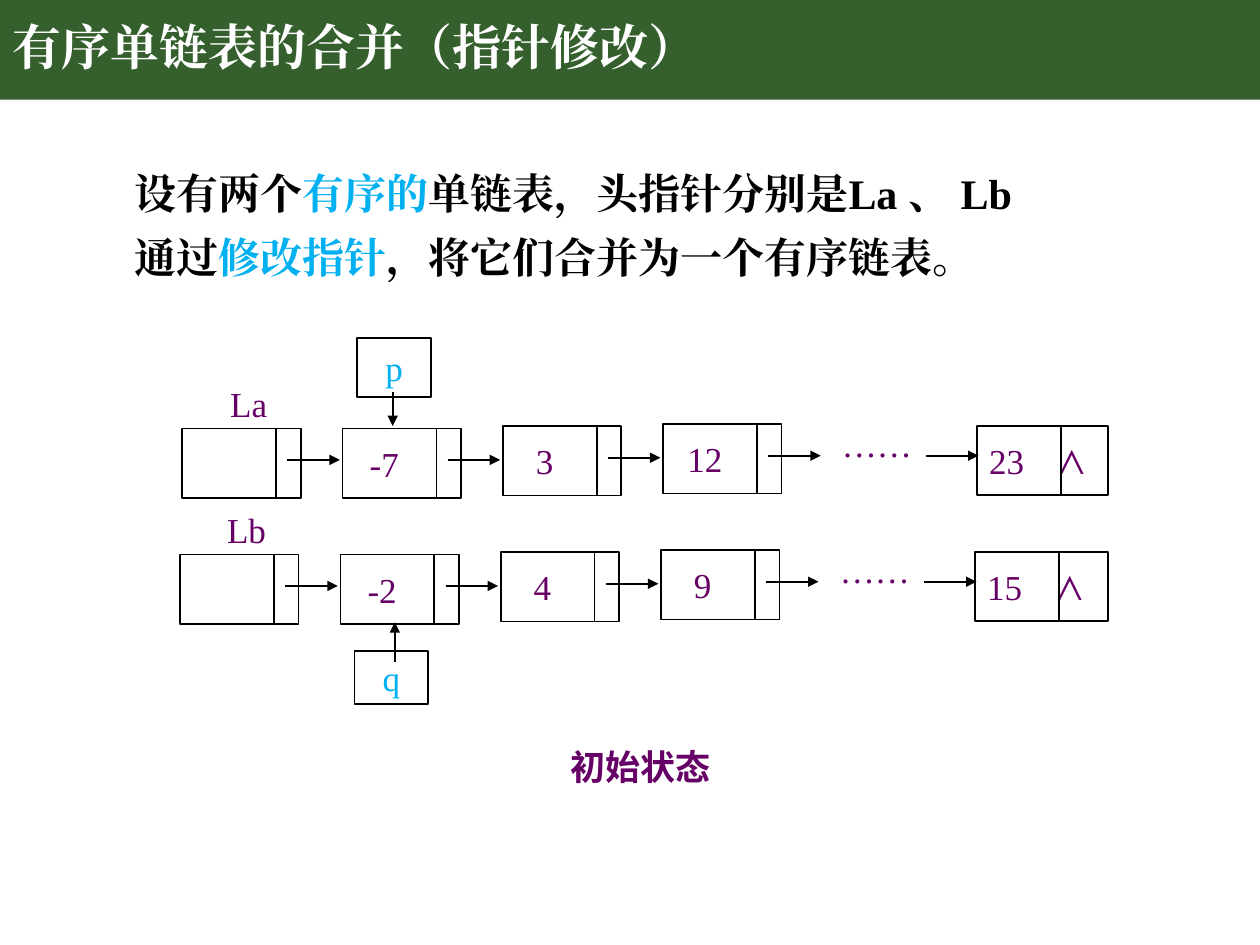
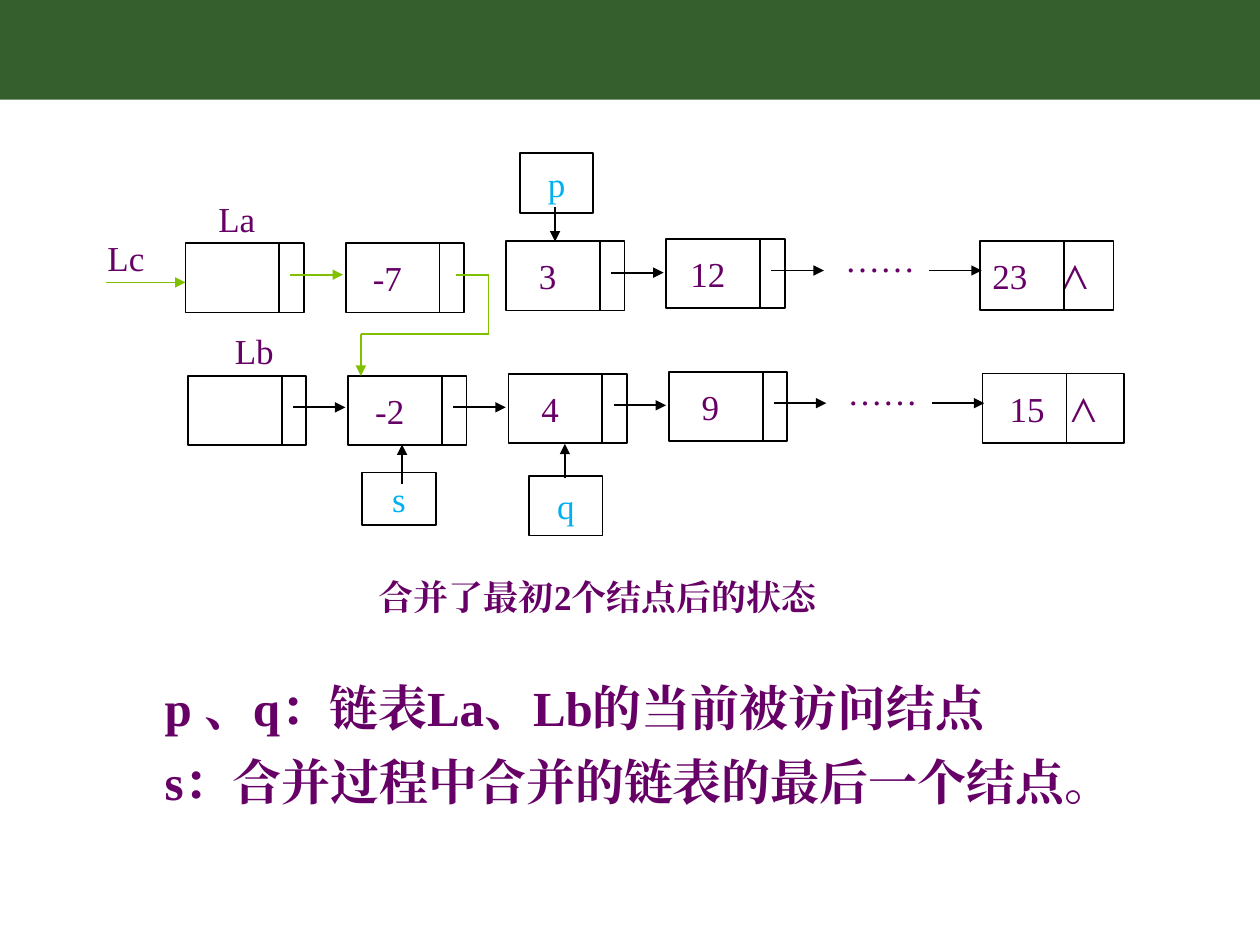
import itertools

import pptx
import pptx.dml.color
import pptx.enum.shapes
import pptx.enum.text
import pptx.oxml
import pptx.oxml.ns
import pptx.util
from pptx.util import Pt

RGBColor = pptx.dml.color.RGBColor
ALIGN = pptx.enum.text.PP_ALIGN
MIDDLE = pptx.enum.text.MSO_ANCHOR.MIDDLE
TOP = pptx.enum.text.MSO_ANCHOR.TOP
RECTANGLE = pptx.enum.shapes.MSO_SHAPE.RECTANGLE
STRAIGHT = pptx.enum.shapes.MSO_CONNECTOR.STRAIGHT

BAND_GREEN = RGBColor(0x36, 0x5F, 0x2E)
LINK_GREEN = RGBColor(0x80, 0xC0, 0x00)
PURPLE = RGBColor(0x66, 0x00, 0x66)
SKY = RGBColor(0x00, 0xB0, 0xF0)
BLACK = RGBColor(0, 0, 0)
WHITE = RGBColor(0xFF, 0xFF, 0xFF)

SERIF = "Times New Roman"
SANS = "Noto Sans CJK SC"
TITLE_STYLE = {"size": Pt(28), "bold": True, "name": SERIF}
INTRO_STYLE = {"size": Pt(24), "bold": True, "name": SERIF}
LABEL_STYLE = {"size": Pt(20), "bold": False, "name": SERIF}
CAPTION_STYLE = {"size": Pt(20), "bold": True, "name": SERIF}

SLIDE_W, SLIDE_H, BAND_H = 720, 540, 57

# Linked-list geometry, relative to the head node's top left corner
NODE_W, NODE_H, NODE_PITCH = 67.7, 39.6, 91.6
NODE_DROPS = (0, 0, -1.2, -2.4)
FIELD_W = 53.6
ARROW_X, ARROW_Y, ARROW_LEN = 60, 18, 30
DOTS_X, DOTS_Y = 368.2, -11
LAST_ARROW_X, LAST_X, LAST_FIELD_W = 425, 454, 48


# ---- Text and line helpers ----
def add_run(paragraph, text, style, color):
    run = paragraph.add_run()
    run.text = text
    for attribute, value in style.items():
        setattr(run.font, attribute, value)
    run.font.color.rgb = color
    east_asian = pptx.oxml.parse_xml(
        f'<a:ea {pptx.oxml.ns.nsdecls("a")} typeface="{style["name"]}"/>')
    run.font._element.find(pptx.oxml.ns.qn("a:latin")).addnext(east_asian)


def set_frame(frame, anchor=MIDDLE, left=7.2, right=7.2):
    settings = {"word_wrap": True, "vertical_anchor": anchor,
                "margin_left": Pt(left), "margin_right": Pt(right),
                "margin_top": Pt(3.6), "margin_bottom": Pt(3.6)}
    for attribute, value in settings.items():
        setattr(frame, attribute, value)


def write_line(frame, text, style=LABEL_STYLE, color=PURPLE,
               align=ALIGN.CENTER, **insets):
    set_frame(frame, **insets)
    paragraph = frame.paragraphs[0]
    paragraph.alignment = align
    add_run(paragraph, text, style, color)
    return paragraph


def add_label(slide, text, x, y, w, h, **options):
    label = slide.shapes.add_textbox(Pt(x), Pt(y), Pt(w), Pt(h))
    write_line(label.text_frame, text, **options)


def add_paragraphs(slide, x, y, w, h, lines, style, indent):
    """Each line is a list of (text, colour) pieces."""
    frame = slide.shapes.add_textbox(Pt(x), Pt(y), Pt(w), Pt(h)).text_frame
    set_frame(frame, anchor=TOP)
    for number, pieces in enumerate(lines):
        paragraph = frame.add_paragraph() if number else frame.paragraphs[0]
        paragraph.line_spacing = 1.1
        if number:
            paragraph.space_before = Pt(style["size"].pt * 0.2)
        paragraph._p.get_or_add_pPr().set("marL", str(Pt(indent)))
        for text, color in pieces:
            add_run(paragraph, text, style, color)


def add_line(slide, start, end, color=BLACK, arrow=False):
    line = slide.shapes.add_connector(
        STRAIGHT, *(Pt(length) for length in (*start, *end)))
    line.line.color.rgb = color
    line.line.width = Pt(1)
    namespace = pptx.oxml.ns.nsdecls("a")
    if arrow:
        line.line._get_or_add_ln().append(
            pptx.oxml.parse_xml(f'<a:tailEnd {namespace} type="triangle"/>'))
    line._element.spPr.append(
        pptx.oxml.parse_xml(f"<a:effectLst {namespace}/>"))


def add_box(slide, x, y, w, h):
    box = slide.shapes.add_shape(RECTANGLE, Pt(x), Pt(y), Pt(w), Pt(h))
    box.shadow.inherit = False
    box.fill.background()
    box.line.color.rgb = BLACK
    box.line.width = Pt(1)
    return box


# ---- Shared header band ----
def add_band(slide):
    band = add_box(slide, 0, 0, SLIDE_W, BAND_H)
    band.fill.solid()
    band.fill.fore_color.rgb = BAND_GREEN
    band.line.fill.background()
    slide.shapes._spTree.insert(2, band._element)


def set_title(slide, text):
    title = slide.shapes.title
    box = {"left": 0, "top": 0, "width": Pt(620.6), "height": Pt(BAND_H)}
    for attribute, value in box.items():
        setattr(title, attribute, value)
    paragraph = write_line(title.text_frame, text, style=TITLE_STYLE,
                           color=WHITE, align=ALIGN.LEFT)
    paragraph.line_spacing = 0.9


# ---- Linked lists ----
def add_node(slide, x, y, w=NODE_W, field_w=FIELD_W):
    node = add_box(slide, x, y, w, NODE_H)
    add_line(slide, (x + field_w, y), (x + field_w, y + NODE_H))
    return node


def add_link(slide, x, y, color=BLACK):
    add_line(slide, (x, y), (x + ARROW_LEN, y), color, arrow=True)


def add_linked_list(slide, x, y, name, values, last_w, label_w=66.2,
                    link_colors=(BLACK,) * 4, last_inset=7.2, last_tab=40):
    """Head node, three value nodes, an ellipsis and the closing node."""
    *first_values, last_value = values
    add_label(slide, name, x + 4.8, y - 32.4, label_w, 36)

    for number, (value, drop, color) in enumerate(
            zip(("", *first_values), NODE_DROPS, link_colors)):
        node_x, node_y = x + number * NODE_PITCH, y + drop
        node = add_node(slide, node_x, node_y)
        if value:
            write_line(node.text_frame, value, right=27.2)
        if color is not None:
            add_link(slide, node_x + ARROW_X, node_y + ARROW_Y, color)

    add_label(slide, "……", x + DOTS_X, y + DOTS_Y, NODE_W, NODE_H, right=17.2)
    add_link(slide, x + LAST_ARROW_X, y + NODE_DROPS[-1] + ARROW_Y)

    last = add_node(slide, x + LAST_X, y - 1.4, last_w, LAST_FIELD_W)
    properties = last.text_frame.paragraphs[0]._p.get_or_add_pPr()
    properties.append(pptx.oxml.parse_xml(
        f'<a:tabLst {pptx.oxml.ns.nsdecls("a")}>'
        f'<a:tab pos="{Pt(last_tab)}" algn="l"/></a:tabLst>'))
    write_line(last.text_frame, f"{last_value}\t⋀", align=ALIGN.LEFT,
               left=last_inset, right=0)


def add_pointer(slide, name, x, y, h, arrow_x, arrow_from, arrow_to):
    """Named pointer box; its arrow is given relative to the box."""
    box = add_box(slide, x, y, 42, h)
    write_line(box.text_frame, name, color=SKY)
    add_line(slide, (x + arrow_x, y + arrow_from), (x + arrow_x, y + arrow_to),
             arrow=True)


def add_merged_link(slide, corners):
    """Bent link from one list to the other, arrow on the last leg."""
    for start, end in itertools.pairwise(corners):
        add_line(slide, start, end, LINK_GREEN, arrow=end == corners[-1])


# ---- Slides ----
def build_initial_state(deck):
    slide = deck.slides.add_slide(deck.slide_layouts[5])
    add_band(slide)
    set_title(slide, "有序单链表的合并（指针修改）")

    add_paragraphs(slide, 46.8, 89.3, 628.6, 95, [
        [("设有两个", BLACK), ("有序的", SKY),
         ("单链表，头指针分别是La 、 Lb", BLACK)],
        [("通过", BLACK), ("修改指针", SKY),
         ("，将它们合并为一个有序链表。", BLACK)],
    ], INTRO_STYLE, indent=23)

    add_linked_list(slide, 104.2, 244.8, "La", ("-7", "3", "12", "23"), 75)
    add_linked_list(slide, 103, 316.8, "Lb", ("-2", "4", "9", "15"), 76.3)
    add_pointer(slide, "p", 204.2, 193, 34, 20.2, 31, 50.4)
    add_pointer(slide, "q", 202.6, 372, 30.2, 23, 6, -16.4)

    add_label(slide, "初始状态", 144.7, 420.5, 442.8, 35.3,
              style=CAPTION_STYLE | {"name": SANS})


def build_merged_state(deck):
    slide = deck.slides.add_slide(deck.slide_layouts[6])
    add_band(slide)

    add_linked_list(slide, 106, 139, "La", ("-7", "3", "12", "23"), 76.3,
                    label_w=49, link_colors=(LINK_GREEN, None, BLACK, BLACK))
    add_linked_list(slide, 107.4, 214.8, "Lb", ("-2", "4", "9", "15"), 80.8,
                    last_inset=15.5, last_tab=35)
    add_pointer(slide, "p", 297, 87.6, 34, 20.2, 30.6, 50.4)
    add_pointer(slide, "s", 207, 270, 30.2, 22.8, 6.4, -16)
    add_pointer(slide, "q", 302.4, 272, 34, 20.4, 1.4, -18.4)

    # Links of the merged list
    add_label(slide, "Lc", 51, 131.8, 42, 30.2)
    add_line(slide, (60.6, 161.4), (106, 161.4), LINK_GREEN, arrow=True)
    add_merged_link(slide, [(260.6, 157), (279.2, 157), (279.2, 190.8),
                            (206.2, 190.8), (206.2, 214.8)])

    add_label(slide, "合并了最初2个结点后的状态", 131.8, 324, 419.8, 33.8,
              style=CAPTION_STYLE)
    add_paragraphs(slide, 15, 380.2, 689.8, 130.3, [
        [("p 、q：链表La、Lb的当前被访问结点", PURPLE)],
        [("s：合并过程中合并的链表的最后一个结点。", PURPLE)],
    ], TITLE_STYLE, indent=72)


def main():
    deck = pptx.Presentation()
    deck.slide_width, deck.slide_height = Pt(SLIDE_W), Pt(SLIDE_H)
    build_initial_state(deck)
    build_merged_state(deck)
    deck.save("out.pptx")


if __name__ == "__main__":
    main()
